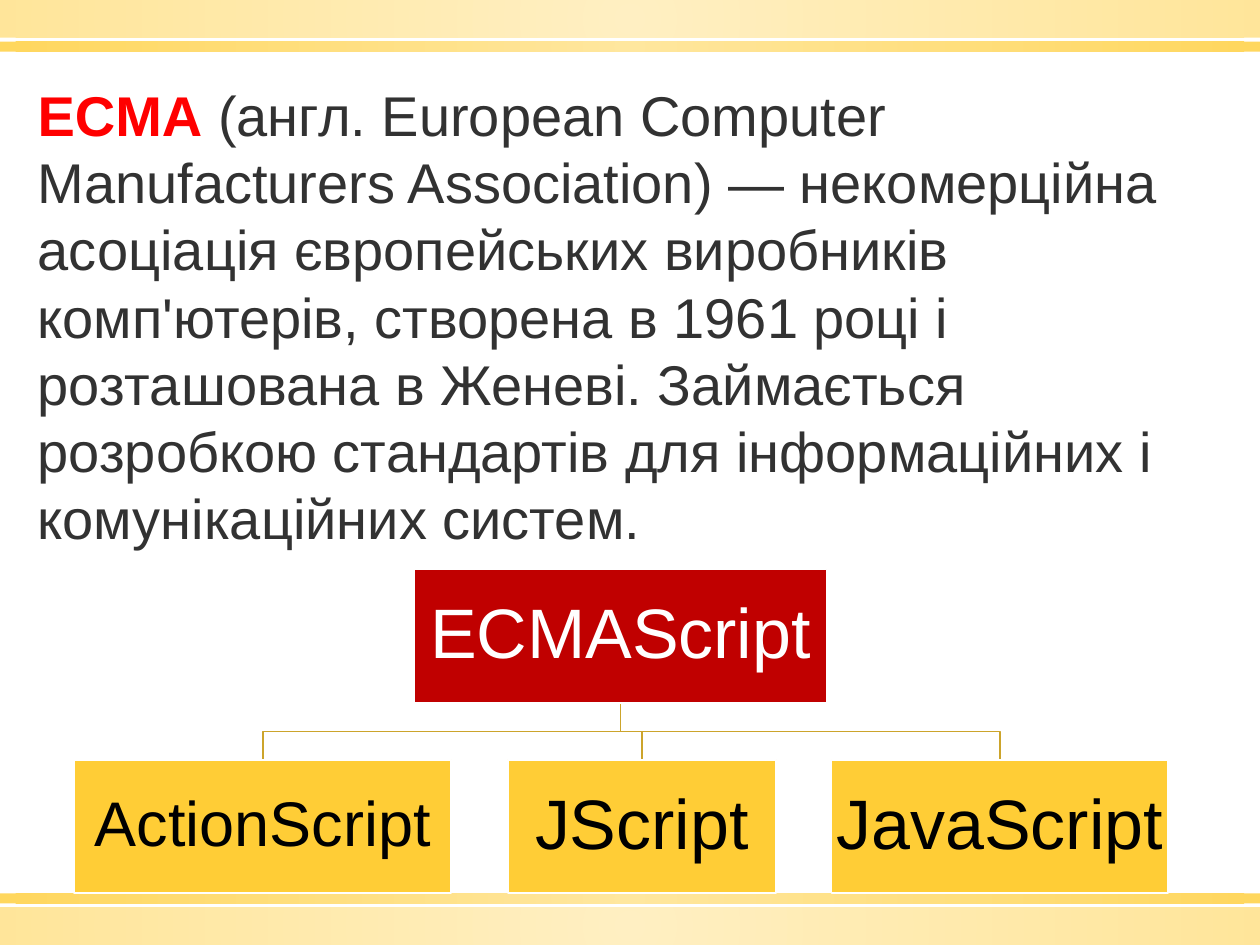
from dataclasses import dataclass

from lxml import etree
from pptx import Presentation
from pptx import util as u
from pptx.dml.color import RGBColor
from pptx.enum import shapes, text
from pptx.oxml import ns


@dataclass(frozen=True)
class Theme:
    font: str = "Arial"
    light: str = "FFE186"
    gold: str = "FFCD36"
    line: str = "CCA42B"
    red: str = "C00000"
    mark: str = "FF0000"
    ink: str = "323232"
    black: str = "000000"
    white: str = "FFFFFF"
    body: int = 32
    small: int = 36
    large: int = 40


@dataclass(frozen=True)
class Band:
    top: float
    height: float
    alpha: int


@dataclass(frozen=True)
class Node:
    label: str
    left: float
    top: float
    width: float
    fill: str
    ink: str
    size: int

    @property
    def mid(self) -> float:
        return self.left + self.width / 2


THEME = Theme()
WIDTH, HEIGHT = 10, 7.5
NODE_H = 1.06
ROW = 6.03

BANDS = [Band(7.2, 0.3, 50), Band(7.09, 0.08, 80),
         Band(0, 0.3, 50), Band(0.33, 0.08, 80)]
ROOT = Node("ECMAScript", 3.29, 4.52, 3.27, THEME.red, THEME.white, THEME.large)
LEAVES = [
    Node(label, left, ROW, width, THEME.gold, THEME.black, size)
    for label, left, width, size in [
        ("ActionScript", 0.59, 2.99, THEME.small),
        ("JScript", 4.03, 2.13, THEME.large),
        ("JavaScript", 6.6, 2.67, THEME.large),
    ]
]
TERM = "ECMA"
BODY = (" (англ. European Computer Manufacturers Association) — "
        "некомерційна асоціація європейських виробників комп'ютерів, "
        "створена в 1961 році і розташована в Женеві. Займається "
        "розробкою стандартів для інформаційних і комунікаційних систем.")


def rgb(code: str) -> RGBColor:
    return RGBColor.from_string(code)


def add_run(para, words: str, size: int, ink: str, bold: bool = False) -> None:
    run = para.add_run()
    run.text = words
    font = run.font
    font.name, font.size, font.bold = THEME.font, u.Pt(size), bold
    font.color.rgb = rgb(ink)


def add_rect(slide, left: float, top: float, width: float, height: float):
    rect = slide.shapes.add_shape(
        shapes.MSO_SHAPE.RECTANGLE, u.Inches(left), u.Inches(top),
        u.Inches(width), u.Inches(height))
    rect.shadow.inherit = False
    return rect


def add_band(slide, band: Band) -> None:
    """Draw a full-width strip with a see-through radial gradient."""
    rect = add_rect(slide, 0, band.top, WIDTH, band.height)
    rect.line.fill.background()
    grad = etree.Element(ns.qn("a:gradFill"), rotWithShape="1")
    stops = etree.SubElement(grad, ns.qn("a:gsLst"))
    for pos, code in ((0, THEME.light), (100, THEME.gold)):
        stop = etree.SubElement(stops, ns.qn("a:gs"), pos=str(pos * 1000))
        color = etree.SubElement(stop, ns.qn("a:srgbClr"), val=code)
        etree.SubElement(color, ns.qn("a:alpha"), val=str(band.alpha * 1000))
    way = etree.SubElement(grad, ns.qn("a:path"))
    way.set("path", "circle")
    etree.SubElement(way, ns.qn("a:fillToRect"),
                     dict.fromkeys("ltrb", "50000"))
    rect.element.spPr.find(ns.qn("a:prstGeom")).addnext(grad)


def add_body(slide) -> None:
    box = slide.shapes.add_textbox(
        u.Inches(0.2), u.Inches(0.59), u.Inches(9.8), u.Inches(3.87))
    frame = box.text_frame
    frame.word_wrap = True
    para = frame.paragraphs[0]
    add_run(para, TERM, THEME.body, THEME.mark, True)
    add_run(para, BODY, THEME.body, THEME.ink)


def add_branch(slide, root: Node, leaf: Node) -> None:
    """Draw the bent line from the root's foot to the leaf's head."""
    foot = root.top + NODE_H
    bend = (foot + leaf.top) / 2
    start, *rest = [
        (u.Inches(x), u.Inches(y)) for x, y in (
            (root.mid, foot), (root.mid, bend),
            (leaf.mid, bend), (leaf.mid, leaf.top))]
    pen = slide.shapes.build_freeform(*start)
    pen.add_line_segments(rest, close=False)
    branch = pen.convert_to_shape()
    branch.shadow.inherit = False
    branch.fill.background()
    branch.line.color.rgb = rgb(THEME.line)
    branch.line.width = u.Pt(1)


def add_node(slide, node: Node) -> None:
    rect = add_rect(slide, node.left, node.top, node.width, NODE_H)
    rect.fill.solid()
    rect.fill.fore_color.rgb = rgb(node.fill)
    rect.line.color.rgb = rgb(THEME.white)
    rect.line.width = u.Pt(1)
    frame = rect.text_frame
    frame.word_wrap = True
    frame.vertical_anchor = text.MSO_ANCHOR.MIDDLE
    frame.margin_left = frame.margin_right = u.Inches(0.03)
    frame.margin_top = frame.margin_bottom = u.Inches(0.03)
    para = frame.paragraphs[0]
    para.alignment = text.PP_ALIGN.CENTER
    para.line_spacing = 0.9
    add_run(para, node.label, node.size, node.ink)


def main() -> None:
    deck = Presentation()
    deck.slide_width, deck.slide_height = u.Inches(WIDTH), u.Inches(HEIGHT)
    slide = deck.slides.add_slide(deck.slide_layouts[6])
    for band in BANDS:
        add_band(slide, band)
    add_body(slide)
    for leaf in reversed(LEAVES):
        add_branch(slide, ROOT, leaf)
    for node in (ROOT, *LEAVES):
        add_node(slide, node)
    deck.save("out.pptx")


if __name__ == "__main__":
    main()
